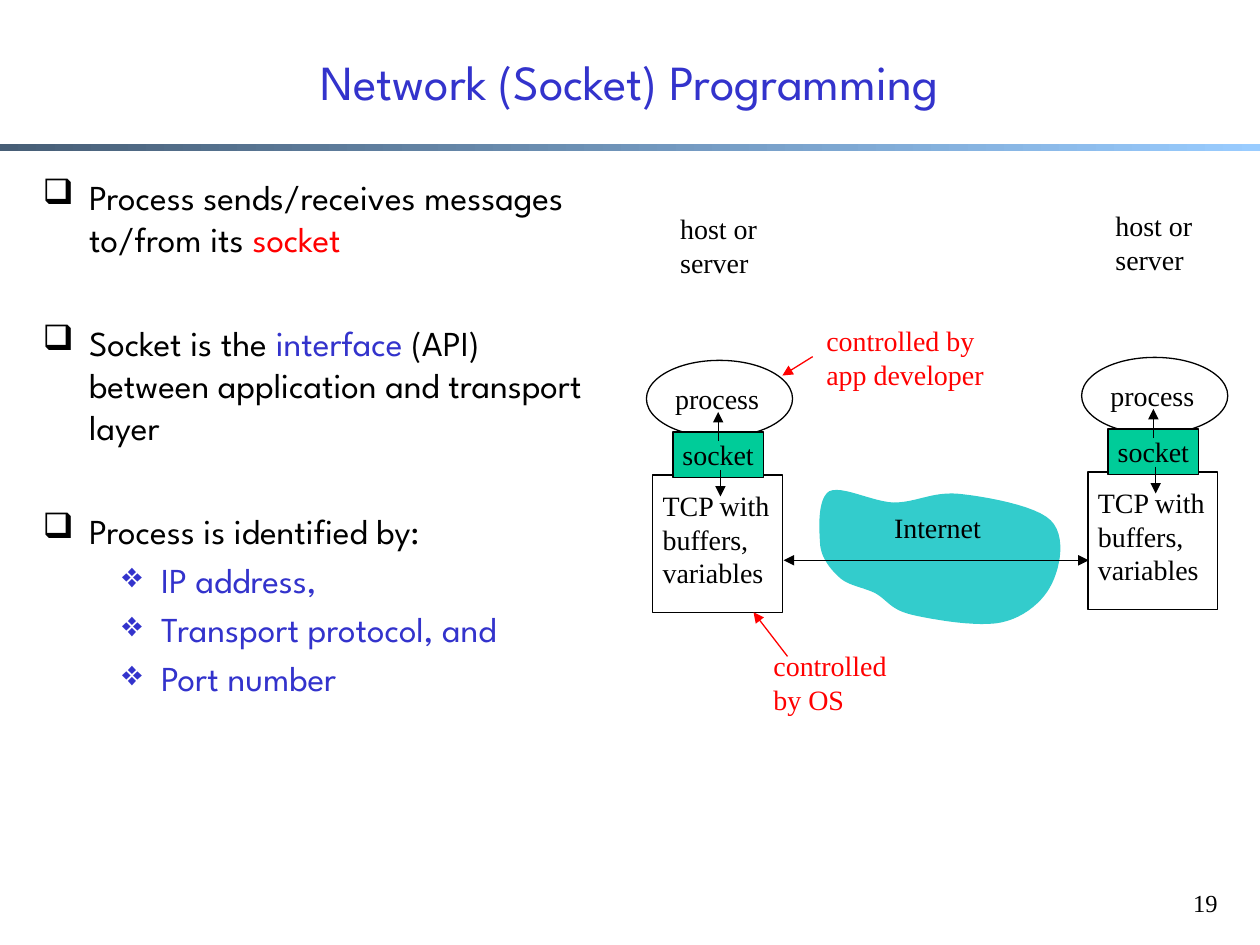
from lxml.etree import SubElement as Sub
from pptx import Presentation as Deck
from pptx.dml.color import RGBColor as Rgb
from pptx.enum.shapes import MSO_CONNECTOR as Conn, MSO_SHAPE as Kind
from pptx.enum.text import MSO_ANCHOR as Anchor, MSO_AUTO_SIZE as Fit, PP_ALIGN as Align
from pptx.oxml.ns import qn
from pptx.util import Pt

HEAD, SERIF = "League Spartan", "Times New Roman"
BLACK, RED, BLUE = "000000", "FF0000", "3333CC"
GREEN, TEAL = "00CC99", "33CCCC"

# Outline of the cloud in points: a start, then curves of three points each
START = (468.6, 309.6)
CURVES = [
    ((468, 301), (467.3, 285.1), (473.8, 280.8)),
    ((481, 277.2), (498.2, 286.6), (510.5, 287.2)),
    ((523.4, 287.3), (532.8, 280.8), (547.9, 282.2)),
    ((562.3, 283.7), (591.8, 288.7), (600.5, 297.4)),
    ((609.1, 306), (606.2, 323.3), (601.2, 333.4)),
    ((596.9, 342.7), (586.1, 352.8), (572.4, 355.7)),
    ((559.4, 358.6), (533.5, 354.2), (521.3, 351.4)),
    ((509, 348.5), (507.6, 343.4), (500.4, 339.1)),
    ((493.2, 335.5), (484.6, 334.8), (479.5, 329.8)),
    ((473.8, 324.7), (468.6, 317.5), START),
]


def tint(code):
    return Rgb.from_string(code)


def apply(item, **vals):
    for key, val in vals.items():
        setattr(item, key, val)


def write(par, text, size, face, color):
    run = par.add_run()
    run.text = text
    apply(run.font, size=Pt(size), name=face)
    run.font.color.rgb = tint(color)


def add_box(shapes, x, y, w, h):
    return shapes.add_textbox(Pt(x), Pt(y), Pt(w), Pt(h)).text_frame


def label(shapes, x, y, w, h, lines, color=BLACK, align=Align.LEFT):
    """Serif text that does not wrap, one paragraph a line."""
    frame = add_box(shapes, x, y, w, h)
    apply(frame, word_wrap=False, auto_size=Fit.SHAPE_TO_FIT_TEXT)
    for num, line in enumerate(lines):
        par = frame.add_paragraph() if num else frame.paragraphs[0]
        par.alignment = align
        write(par, line, 16, SERIF, color)


def shape(shapes, kind, x, y, w, h, fill=None):
    item = shapes.add_shape(kind, Pt(x), Pt(y), Pt(w), Pt(h))
    item.shadow.inherit = False
    if fill:
        item.fill.solid()
        item.fill.fore_color.rgb = tint(fill)
    else:
        item.fill.background()
    item.line.color.rgb = tint(BLACK)
    item.line.width = Pt(0.75)
    return item


def arrow(shapes, x1, y1, x2, y2, color=BLACK, ends=("tailEnd",)):
    item = shapes.add_connector(Conn.STRAIGHT, Pt(x1), Pt(y1), Pt(x2), Pt(y2))
    item.line.color.rgb = tint(color)
    item.line.width = Pt(0.75)
    for end in ends:
        Sub(item.line._get_or_add_ln(), qn(f"a:{end}"), type="triangle")
    Sub(item._element.spPr, qn("a:effectLst"))


def bullet(par, mark, color, left, hang):
    props = par._p.get_or_add_pPr()
    props.set("marL", str(Pt(left)))
    props.set("indent", str(-Pt(hang)))
    Sub(Sub(props, qn("a:buClr")), qn("a:srgbClr"), val=color)
    Sub(props, qn("a:buChar"), char=mark)


def body(shapes):
    frame = add_box(shapes, 17.3, 96.5, 331.2, 324)
    frame.word_wrap = True
    top = ("❑", BLACK, 26.6, 26.6)
    low = ("❖", BLUE, 67.7, 22.3)
    rows = [
        (top, 0, [("Process sends/receives messages to/from its ", BLACK),
                  ("socket", RED)]),
        (top, 35.5, [("Socket is the ", BLACK), ("interface", BLUE),
                     (" (API) between application and transport layer", BLACK)]),
        (top, 35.5, [("Process is identified by:", BLACK)]),
    ]
    rows += [(low, 4, [(text, BLUE)]) for text in
             ("IP address,", "Transport protocol, and", "Port number")]
    for num, (look, gap, parts) in enumerate(rows):
        par = frame.add_paragraph() if num else frame.paragraphs[0]
        bullet(par, *look)
        if gap:
            par.space_before = Pt(gap)
        for text, color in parts:
            write(par, text, 20, HEAD, color)


def host(slide, x, y):
    """One end system; x and y are the corner of its process oval."""
    group = slide.shapes.add_group_shape().shapes
    shape(group, Kind.OVAL, x, y, 83.5, 43.9)
    label(group, x + 9.4, y + 8.6, 62.6, 26.6, ["process"])
    shape(group, Kind.RECTANGLE, x + 3.6, y + 65.5, 74.2, 78.5)
    label(group, x + 2.2, y + 69.8, 76.3, 64.8,
          ["TCP with", "buffers,", "variables"])
    plug = shape(group, Kind.RECTANGLE, x + 15.1, y + 41, 51.8, 25.9, GREEN)
    apply(plug.text_frame, word_wrap=False, vertical_anchor=Anchor.MIDDLE)
    par = plug.text_frame.paragraphs[0]
    par.alignment = Align.CENTER
    write(par, "socket", 16, SERIF, BLACK)
    arrow(group, x + 41, y + 46.1, x + 41, y + 29.5)
    arrow(group, x + 42.3, y + 62.6, x + 42.3, y + 77.8)
    label(group, x + 12.2, y - 88.6, 58.3, 46, ["host or", "server"])


def cloud(shapes, steps=12):
    dots, last = [], START
    for one, two, end in CURVES:
        for num in range(1, steps + 1):
            t = num / steps
            u = 1 - t
            dots.append(tuple(
                Pt(u**3 * a + 3 * u * u * t * b + 3 * u * t * t * c + t**3 * d)
                for a, b, c, d in zip(last, one, two, end)))
        last = end
    pen = shapes.build_freeform(Pt(START[0]), Pt(START[1]))
    pen.add_line_segments(dots, close=True)
    item = pen.convert_to_shape()
    item.shadow.inherit = False
    item.fill.solid()
    item.fill.fore_color.rgb = tint(TEAL)
    item.line.fill.background()


def frame_page(shapes):
    # Gradient rule below the title
    bar = shape(shapes, Kind.RECTANGLE, 0, 82.1, 720, 4.3)
    bar.line.fill.background()
    bar.fill.gradient()
    bar.fill.gradient_angle = 0
    for stop, color in zip(bar.fill.gradient_stops, ("475E76", "99CCFF")):
        stop.color.rgb = tint(color)
    # Page number and title
    for place, text, size, face, color, align, anchor in (
            ((653.8, 504, 49, 36), "19", 14, SERIF, BLACK, Align.RIGHT, Anchor.TOP),
            ((41.8, 18, 635.8, 56.9), "Network (Socket) Programming", 28, HEAD,
             BLUE, Align.CENTER, Anchor.MIDDLE)):
        frame = add_box(shapes, *place)
        apply(frame, word_wrap=True, vertical_anchor=anchor)
        frame.paragraphs[0].alignment = align
        write(frame.paragraphs[0], text, size, face, color)


def main():
    deck = Deck()
    apply(deck, slide_width=Pt(720), slide_height=Pt(540))
    slide = deck.slides.add_slide(deck.slide_layouts[6])
    shapes = slide.shapes
    frame_page(shapes)
    body(shapes)

    # Two hosts joined across the network
    cloud(shapes)
    host(slide, 369.4, 205.9)
    host(slide, 618.1, 204.2)
    label(shapes, 503.3, 288, 64.8, 26.6, ["Internet"], align=Align.CENTER)
    arrow(shapes, 447.8, 320.2, 622.1, 320.2, ends=("headEnd", "tailEnd"))

    # Who controls what
    label(shapes, 434.9, 367.2, 79.9, 64.8, ["controlled", "by OS"], RED)
    arrow(shapes, 450, 375.1, 430.6, 349.9, RED)
    label(shapes, 465.1, 181.4, 105.1, 46, ["controlled by", "app developer"], RED)
    arrow(shapes, 464.4, 203.8, 447.1, 214.6, RED)
    deck.save("out.pptx")


if __name__ == "__main__":
    main()
